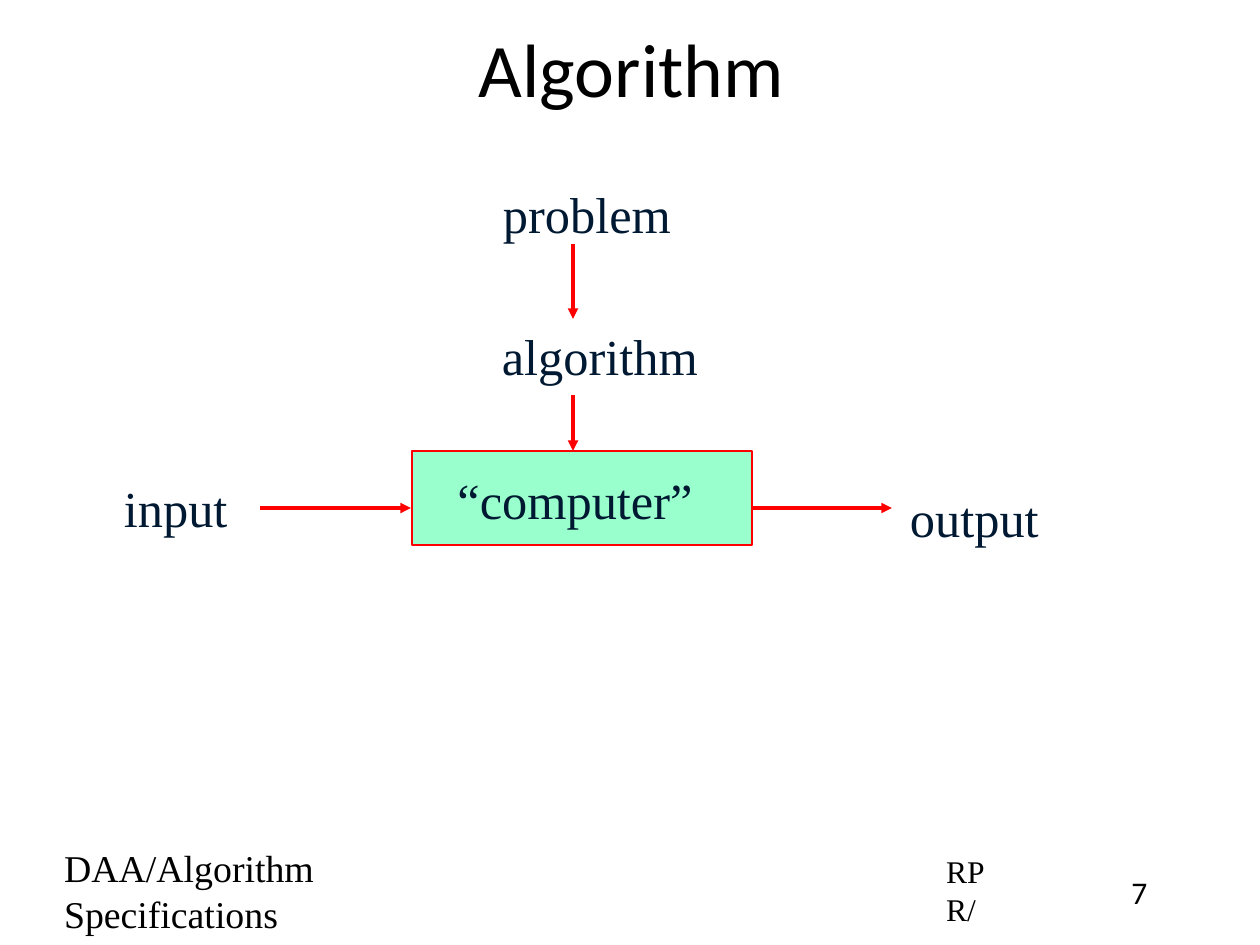
"""Build the slide that shows how an algorithm turns input into output."""
from dataclasses import dataclass

from lxml.etree import SubElement
from pptx import Presentation
from pptx.dml.color import RGBColor
from pptx.enum.shapes import MSO_CONNECTOR, MSO_SHAPE
from pptx.enum.text import MSO_ANCHOR, PP_ALIGN
from pptx.oxml.ns import qn
from pptx.slide import Slide
from pptx.util import Pt

PX = 8064
BLACK = RGBColor(0x00, 0x00, 0x00)
NAVY = RGBColor(0x00, 0x19, 0x32)
RED = RGBColor(0xFF, 0x00, 0x00)
MINT = RGBColor(0x99, 0xFF, 0xCC)
WHITE = RGBColor(0xFF, 0xFF, 0xFF)
SANS = "Calibri"
SERIF = "Times New Roman"
MID = MSO_ANCHOR.MIDDLE
MACHINE = (412, 451, 340, 94)


@dataclass(frozen=True)
class Label:
    """A text box, measured in px, with its type."""

    text: str
    left: int
    top: int
    width: int
    height: int = 68
    size: int = 32
    font: str = SERIF
    color: RGBColor = NAVY
    align: PP_ALIGN = PP_ALIGN.LEFT
    anchor: MSO_ANCHOR = MSO_ANCHOR.TOP
    inset: int = 6
    start: int = 0
    end: int = 0
    wrap: bool = True


@dataclass(frozen=True)
class Arrow:
    """A straight arrow between two points in px."""

    x1: int
    y1: int
    x2: int
    y2: int


LABELS = [
    Label("Algorithm", 94, 8, 1070, 118, 48, SANS, BLACK, PP_ALIGN.CENTER, MID, 7, 5),
    Label("7", 1102, 866, 75, 48, 20, SANS, BLACK, PP_ALIGN.CENTER, inset=7),
    Label("DAA/Algorithm Specifications", 52, 864, 492, 53, 24, color=BLACK,
          anchor=MID, inset=7, start=5, end=10),
    Label("RPR/", 934, 866, 87, 48, 20, color=BLACK,
          anchor=MID, inset=7, start=5, end=10),
    Label("“computer” ", 451, 465, 261, align=PP_ALIGN.CENTER, anchor=MID, wrap=False),
    Label("problem", 497, 177, 215),
    Label("algorithm", 496, 319, 209, wrap=False),
    Label("input", 118, 471, 149),
    Label("output", 904, 481, 149),
]
ARROWS = [
    Arrow(573, 244, 573, 319),
    Arrow(573, 395, 573, 451),
    Arrow(260, 508, 411, 508),
    Arrow(751, 508, 892, 508),
]


def add_machine(slide: Slide) -> None:
    """Draw the box that stands for the computer."""
    box = slide.shapes.add_shape(MSO_SHAPE.RECTANGLE, *(n * PX for n in MACHINE))
    box.shadow.inherit = False
    box.fill.solid()
    box.fill.fore_color.rgb = MINT
    box.line.color.rgb = RED
    box.line.width = Pt(1)


def add_label(slide: Slide, label: Label) -> None:
    """Write one label in its text box."""
    place = (label.left, label.top, label.width, label.height)
    frame = slide.shapes.add_textbox(*(n * PX for n in place)).text_frame
    frame.word_wrap = label.wrap
    frame.vertical_anchor = label.anchor
    frame.margin_left = frame.margin_right = label.inset * PX
    frame.margin_top = frame.margin_bottom = label.inset * PX
    line = frame.paragraphs[0]
    line.text = label.text
    line.alignment = label.align
    props = line._p.get_or_add_pPr()
    props.set("marL", str(label.start * PX))
    props.set("marR", str(label.end * PX))
    line.font.name = label.font
    line.font.size = Pt(label.size)
    line.font.color.rgb = label.color


def add_arrow(slide: Slide, arrow: Arrow) -> None:
    """Draw one red arrow."""
    ends = (arrow.x1, arrow.y1, arrow.x2, arrow.y2)
    link = slide.shapes.add_connector(MSO_CONNECTOR.STRAIGHT, *(n * PX for n in ends))
    link.line.color.rgb = RED
    link.line.width = Pt(2.25)
    SubElement(link.line._get_or_add_ln(), qn("a:tailEnd")).set("type", "triangle")
    SubElement(link._element.spPr, qn("a:effectLst"))


def main() -> None:
    """Build and save the slide."""
    deck = Presentation()
    deck.slide_width = 1260 * PX
    deck.slide_height = 945 * PX
    slide = deck.slides.add_slide(deck.slide_layouts[6])
    slide.background.fill.solid()
    slide.background.fill.fore_color.rgb = WHITE
    add_machine(slide)
    for label in LABELS:
        add_label(slide, label)
    for arrow in ARROWS:
        add_arrow(slide, arrow)
    deck.save("out.pptx")


if __name__ == "__main__":
    main()
